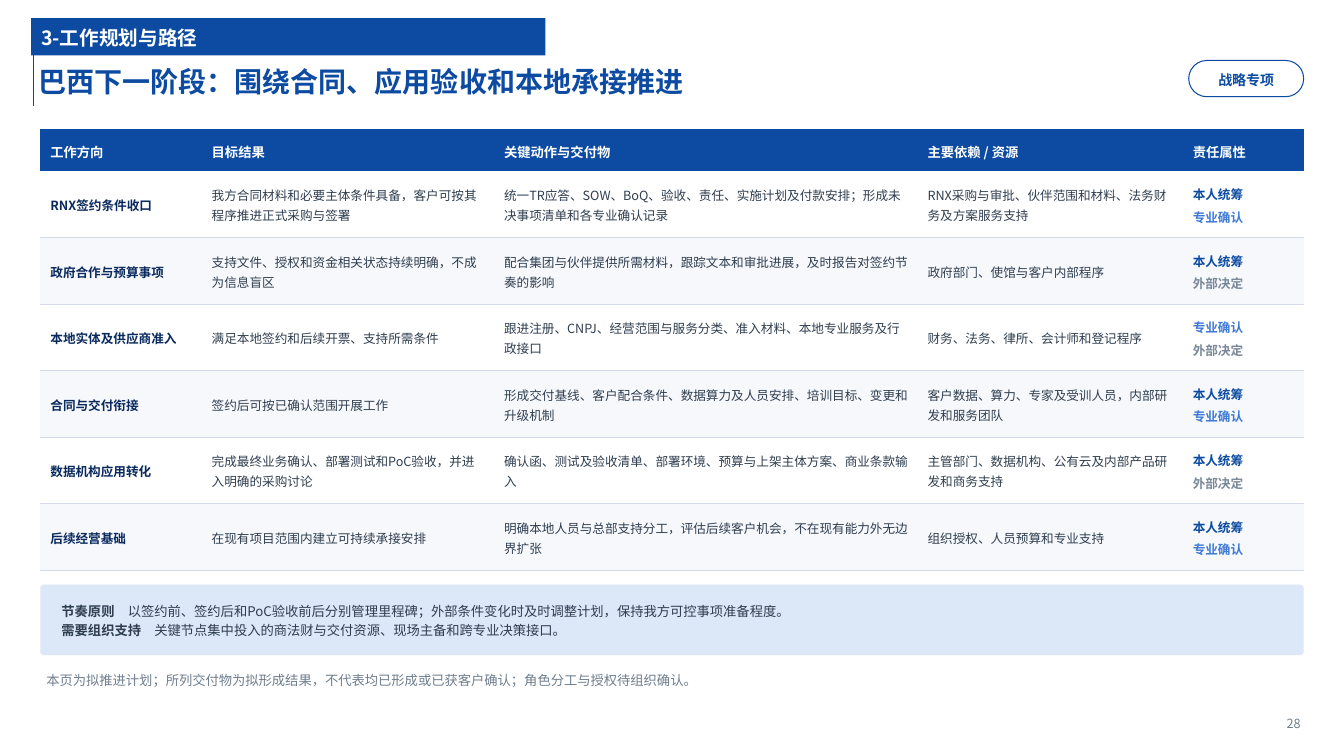
from lxml import etree
from pptx import Presentation
from pptx.dml.color import RGBColor
from pptx.enum.shapes import MSO_CONNECTOR, MSO_SHAPE
from pptx.enum.text import MSO_ANCHOR, PP_ALIGN
from pptx.oxml import parse_xml
from pptx.oxml.ns import nsdecls, qn
from pptx.util import Inches, Pt

RECT, ROUNDED = MSO_SHAPE.RECTANGLE, MSO_SHAPE.ROUNDED_RECTANGLE
STRAIGHT = MSO_CONNECTOR.STRAIGHT
MIDDLE = MSO_ANCHOR.MIDDLE
LEFT, CENTER, RIGHT = PP_ALIGN.LEFT, PP_ALIGN.CENTER, PP_ALIGN.RIGHT
FONT = "Noto Sans CJK SC"
NO_TABLE_STYLE = "{2D5ABB26-0587-4C30-8999-92F81FD0307C}"
COLORS = {
    "blue": "0C4BA1", "navy": "0A2A5E", "sky": "3F7BD6", "pale": "DCE7F8",
    "ink": "2F3E4F", "slate": "7A8898", "muted": "6F7E8F", "rule": "D3DCE8",
    "stripe": "F6F8FC", "white": "FFFFFF",
}
RGB = {name: RGBColor.from_string(value) for name, value in COLORS.items()}

PAGE_WIDTH, PAGE_HEIGHT = 13.33, 7.5
MARGIN = 0.4
CONTENT_WIDTH = PAGE_WIDTH - 2 * MARGIN
TABLE_TOP, HEADER_HEIGHT, ROW_HEIGHT = 1.28, 0.42, 0.66
COLUMN_WIDTHS = [1.6, 2.9, 4.2, 2.63, 1.2]

HEADERS = ["工作方向", "目标结果", "关键动作与交付物", "主要依赖 / 资源", "责任属性"]
LEAD, EXPERT, EXTERNAL = "本人统筹", "专业确认", "外部决定"
TAG_COLORS = {LEAD: "blue", EXPERT: "sky", EXTERNAL: "slate"}
ROWS = [
    ["RNX签约条件收口", "我方合同材料和必要主体条件具备，客户可按其程序推进正式采购与签署",
     "统一TR应答、SOW、BoQ、验收、责任、实施计划及付款安排；形成未决事项清单和各专业确认记录",
     "RNX采购与审批、伙伴范围和材料、法务财务及方案服务支持", [LEAD, EXPERT]],
    ["政府合作与预算事项", "支持文件、授权和资金相关状态持续明确，不成为信息盲区",
     "配合集团与伙伴提供所需材料，跟踪文本和审批进展，及时报告对签约节奏的影响",
     "政府部门、使馆与客户内部程序", [LEAD, EXTERNAL]],
    ["本地实体及供应商准入", "满足本地签约和后续开票、支持所需条件",
     "跟进注册、CNPJ、经营范围与服务分类、准入材料、本地专业服务及行政接口",
     "财务、法务、律所、会计师和登记程序", [EXPERT, EXTERNAL]],
    ["合同与交付衔接", "签约后可按已确认范围开展工作",
     "形成交付基线、客户配合条件、数据算力及人员安排、培训目标、变更和升级机制",
     "客户数据、算力、专家及受训人员，内部研发和服务团队", [LEAD, EXPERT]],
    ["数据机构应用转化", "完成最终业务确认、部署测试和PoC验收，并进入明确的采购讨论",
     "确认函、测试及验收清单、部署环境、预算与上架主体方案、商业条款输入",
     "主管部门、数据机构、公有云及内部产品研发和商务支持", [LEAD, EXTERNAL]],
    ["后续经营基础", "在现有项目范围内建立可持续承接安排",
     "明确本地人员与总部支持分工，评估后续客户机会，不在现有能力外无边界扩张",
     "组织授权、人员预算和专业支持", [LEAD, EXPERT]],
]
PRINCIPLES = [
    ("节奏原则", "　以签约前、签约后和PoC验收前后分别管理里程碑；外部条件变化时及时调整计划，保持我方可控事项准备程度。"),
    ("需要组织支持", "　关键节点集中投入的商法财与交付资源、现场主备和跨专业决策接口。"),
]


def write(frame, lines, size, bold=False, align=LEFT, spacing=1.12, after=0):
    """Fill a text frame; each line is (text, color), or ((label, body), color) with a bold label."""
    frame.word_wrap = True
    for index, (text, color) in enumerate(lines):
        para = frame.paragraphs[0] if index == 0 else frame.add_paragraph()
        para.alignment, para.line_spacing, para.space_after = align, spacing, Pt(after)
        font = para.font
        font.name, font.size, font.color.rgb = FONT, Pt(size), RGB[color]
        etree.SubElement(para._p.pPr.find(qn("a:defRPr")), qn("a:ea"), typeface=FONT)
        if isinstance(text, str):
            font.bold = bold
            para.add_run().text = text
        else:
            for position, part in enumerate(text):
                span = para.add_run()
                span.text, span.font.bold = part, position == 0


def add_box(page, left, top, width, height, kind=None, fill=None, line=None, insets=(0, 0, 0, 0)):
    """Add a preset shape, or a plain text box when no kind is given."""
    area = [Inches(length) for length in (left, top, width, height)]
    if kind is None:
        box = page.shapes.add_textbox(*area)
    else:
        box = page.shapes.add_shape(kind, *area)
        box.shadow.inherit = False
        box.fill.solid()
        box.fill.fore_color.rgb = RGB[fill]
        if line:
            box.line.color.rgb, box.line.width = RGB[line], Pt(0.75)
        else:
            box.line.fill.background()
    frame = box.text_frame
    frame.vertical_anchor = MIDDLE
    (frame.margin_left, frame.margin_top,
     frame.margin_right, frame.margin_bottom) = [Inches(inset) for inset in insets]
    return box


deck = Presentation()
deck.slide_width, deck.slide_height = Inches(PAGE_WIDTH), Inches(PAGE_HEIGHT)
page = deck.slides.add_slide(deck.slide_layouts[6])

# Heading
title_rule = page.shapes.add_connector(
    STRAIGHT, Inches(0.33), Inches(0.24), Inches(0.33), Inches(1.05))
title_rule.line.color.rgb, title_rule.line.width = RGB["blue"], Pt(1)
etree.SubElement(title_rule._element.spPr, qn("a:effectLst"))

title = add_box(page, 0.33, 0.53, 11.5, 0.52, insets=(0.05, 0, 0.05, 0))
write(title.text_frame, [("巴西下一阶段：围绕合同、应用验收和本地承接推进", "blue")], 20, bold=True)
section = add_box(page, 0.31, 0.18, 5.1, 0.37, RECT, "blue", insets=(0.1, 0, 0.05, 0))
write(section.text_frame, [("3-工作规划与路径", "white")], 14, bold=True)
badge = add_box(page, 11.79, 0.6, 1.14, 0.36, ROUNDED, "white", "blue", (0.04, 0, 0.04, 0))
badge.adjustments[0] = 0.5
write(badge.text_frame, [("战略专项", "blue")], 10, bold=True, align=CENTER)
page_number = add_box(page, 12, 7.02, 0.95, 0.3, insets=(0, 0, 0.05, 0))
write(page_number.text_frame, [("28", "muted")], 9, align=RIGHT)

# Work plan table
table_height = HEADER_HEIGHT + len(ROWS) * ROW_HEIGHT
table = page.shapes.add_table(
    len(ROWS) + 1, len(HEADERS), Inches(MARGIN), Inches(TABLE_TOP),
    Inches(CONTENT_WIDTH), Inches(table_height)).table
table._tbl.tblPr.find(qn("a:tableStyleId")).text = NO_TABLE_STYLE
table.horz_banding = False
for column, width in zip(table.columns, COLUMN_WIDTHS):
    column.width = Inches(width)

for row_index, values in enumerate([HEADERS] + ROWS):
    is_header = row_index == 0
    table.rows[row_index].height = Inches(HEADER_HEIGHT if is_header else ROW_HEIGHT)
    fill = "blue" if is_header else ("stripe", "white")[row_index % 2]
    for column_index, value in enumerate(values):
        cell = table.cell(row_index, column_index)
        cell.vertical_anchor = MIDDLE
        cell.fill.solid()
        cell.fill.fore_color.rgb = RGB[fill]
        if is_header:
            write(cell.text_frame, [(value, "white")], 9.5, bold=True)
            continue
        if isinstance(value, list):
            lines = [(tag, TAG_COLORS[tag]) for tag in value]
        else:
            lines = [(value, "navy" if column_index == 0 else "ink")]
        write(cell.text_frame, lines, 9, bold=column_index in (0, 4), spacing=1.08, after=2)
        cell._tc.get_or_add_tcPr().insert(0, parse_xml(
            f'<a:lnB {nsdecls("a")} w="{Pt(0.75)}"><a:solidFill>'
            f'<a:srgbClr val="{COLORS["rule"]}"/></a:solidFill></a:lnB>'))

# Principles and footnote
panel_top, panel_height = 5.8, 0.7
text_insets = (0.06, 0.04, 0.06, 0.04)
panel = add_box(page, MARGIN, panel_top, CONTENT_WIDTH, panel_height, ROUNDED, "pale")
panel.adjustments[0] = 0.05
principles = add_box(page, MARGIN + 0.15, panel_top, CONTENT_WIDTH - 0.3, panel_height,
                     insets=text_insets)
write(principles.text_frame, [(parts, "ink") for parts in PRINCIPLES], 9.5, after=1)
footnote = add_box(page, MARGIN, 6.56, CONTENT_WIDTH, 0.36, insets=text_insets)
write(footnote.text_frame,
      [("本页为拟推进计划；所列交付物为拟形成结果，不代表均已形成或已获客户确认；角色分工与授权待组织确认。", "muted")],
      9.5, after=3)

deck.save("out.pptx")
